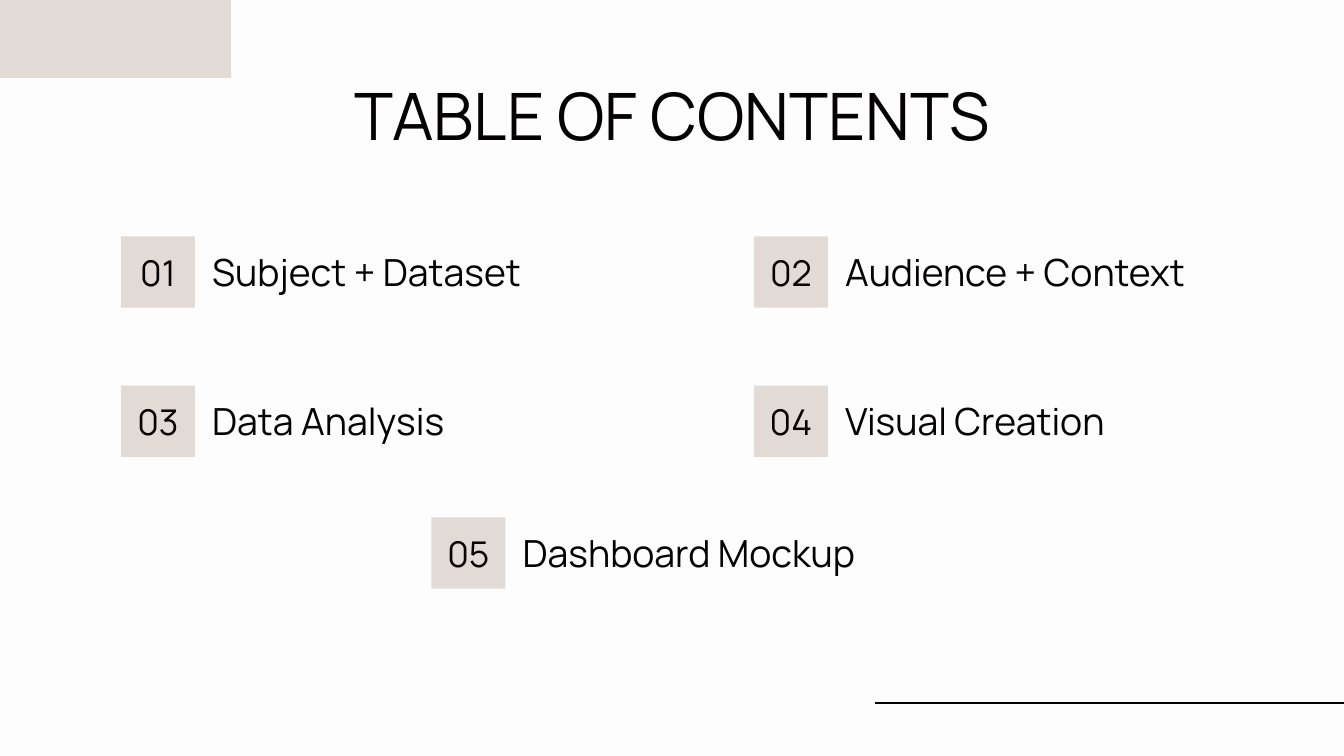
"""Build the table of contents slide with five numbered entries."""
from pptx import Presentation
from pptx.dml.color import RGBColor
from pptx.enum.shapes import MSO_CONNECTOR as Connector, MSO_SHAPE as Shape
from pptx.enum.text import MSO_ANCHOR as Anchor, MSO_AUTO_SIZE as AutoSize, PP_ALIGN as Align
from pptx.oxml.ns import qn
from pptx.util import Inches, Pt

PAPER, SAND, INK = "FDFDFD", "E2DAD4", "040202"
WIDTH = 10
HEIGHT = WIDTH * 9 / 16
TILE_W, TILE_H, LABEL_H, GAP = 0.55, 0.53, 0.58, 0.03
LEFT, MIDDLE, RIGHT = 0.9, 3.21, 5.61
TOP, CENTER, BOTTOM = 1.76, 2.87, 3.85
ENTRIES = [
    ("Subject + Dataset", LEFT, TOP, 2.82),
    ("Audience + Context", RIGHT, TOP, 3.2),
    ("Data Analysis", LEFT, CENTER, 2.52),
    ("Visual Creation", RIGHT, CENTER, 3.01),
    ("Dashboard Mockup", MIDDLE, BOTTOM, 3.01),
]


def paint(color_format, color):
    color_format.rgb = RGBColor.from_string(color)


def write(holder, text, size, align):
    frame = holder.text_frame
    frame.text = text
    layout = {"word_wrap": True, "auto_size": AutoSize.NONE, "vertical_anchor": Anchor.MIDDLE}
    layout |= {f"margin_{side}": Inches(0.1) for side in ("left", "top", "right", "bottom")}
    for key, value in layout.items():
        setattr(frame, key, value)
    line = frame.paragraphs[0]
    line.alignment = align
    font = line.runs[0].font
    for key, value in {"name": "Manrope", "size": Pt(size)}.items():
        setattr(font, key, value)
    paint(font.color, INK)


deck = Presentation()
deck.slide_width, deck.slide_height = Inches(WIDTH), Inches(HEIGHT)
slide = deck.slides.add_slide(deck.slide_layouts[5])
slide.background.fill.solid()
paint(slide.background.fill.fore_color, PAPER)

rule_y = Inches(5.23)
rule = slide.shapes.add_connector(Connector.STRAIGHT, Inches(6.51), rule_y, deck.slide_width, rule_y)
rule.line.width = Pt(0.75)
paint(rule.line.color, INK)
rule.element.spPr.append(rule.element.makeelement(qn("a:effectLst"), {}))

heading = slide.shapes.title
box = {"left": 0.79, "top": 0.59, "width": 8.43, "height": 0.52}
for key, value in box.items():
    setattr(heading, key, Inches(value))
write(heading, "TABLE OF CONTENTS", 35, Align.CENTER)

blocks = [(0, 0, 1.72, 0.58)] + [(x, y, TILE_W, TILE_H) for _, x, y, _ in ENTRIES]
corner, *tiles = [slide.shapes.add_shape(Shape.RECTANGLE, *map(Inches, block)) for block in blocks]
for block in (corner, *tiles):
    block.shadow.inherit = False
    block.fill.solid()
    paint(block.fill.fore_color, SAND)
    block.line.fill.background()

for number, (tile, (topic, x, y, width)) in enumerate(zip(tiles, ENTRIES), 1):
    write(tile, f"{number:02}", 19, Align.CENTER)
    label_box = (x + TILE_W + GAP, y - GAP, width, LABEL_H)
    label = slide.shapes.add_textbox(*map(Inches, label_box))
    write(label, topic, 20, Align.LEFT)

deck.save("out.pptx")
